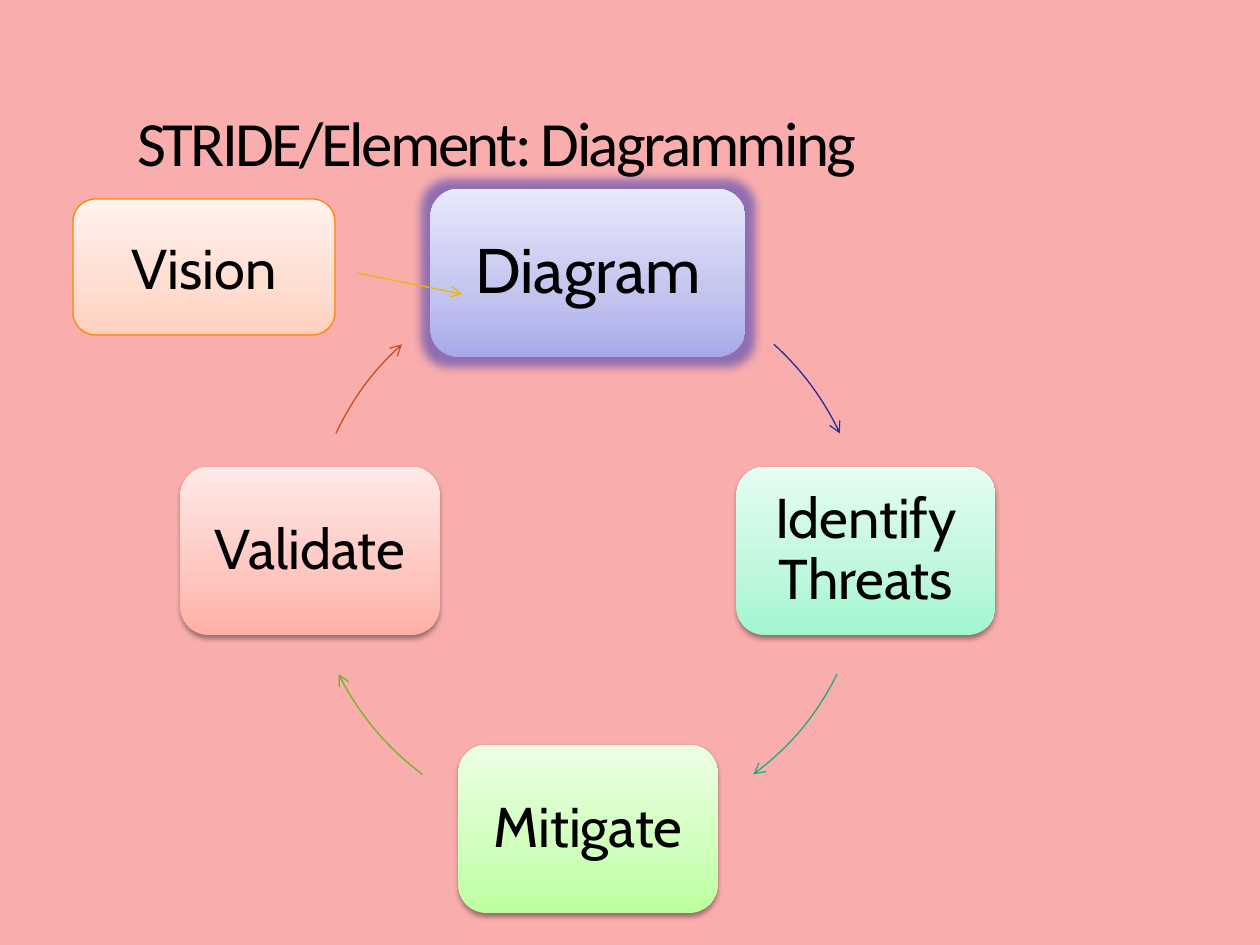
from dataclasses import dataclass
from typing import Optional

import lxml.etree
import pptx
import pptx.dml.color
import pptx.enum.shapes
import pptx.enum.text
import pptx.oxml
import pptx.oxml.ns
import pptx.util
from copy import deepcopy

EMU_PER_PX = 914400 / 126
qn = pptx.oxml.ns.qn
RGB = pptx.dml.color.RGBColor.from_string
SHAPES = pptx.enum.shapes.MSO_SHAPE


@dataclass(frozen=True)
class Theme:
    background: str = "F9ADAD"
    ink: str = "000000"
    glow: str = "4B44B5"
    shadow: str = "000000"
    vision_line: str = "FE8500"
    vision_arrow: str = "F1B700"
    title_font: str = "Calibri"
    body_font: str = "Cabin"
    large: int = 36
    body: int = 32
    line_width: float = 0.75


@dataclass(frozen=True)
class Step:
    """A rounded box placed by its centre; stops run from bottom to top."""
    label: str
    x: int
    y: int
    width: int
    height: int
    stops: tuple[str, str, str]
    size: int
    inset: int
    line_spacing: float = 0.9
    outline: Optional[str] = None
    effect: Optional[str] = None


@dataclass(frozen=True)
class Arc:
    """A clockwise piece of the cycle, in degrees from three o'clock."""
    start: float
    end: float
    color: str


THEME = Theme()
CENTER_X, CENTER_Y, RADIUS = 588, 551, 278
STEP_W, STEP_H = 259, 168

STEPS = (
    Step("Diagram", CENTER_X, CENTER_Y - RADIUS, 315, STEP_H,
         ("A7A9EB", "C2C3EF", "E7E8FA"), THEME.large, 19, effect="glow"),
    Step("Identify Threats", CENTER_X + RADIUS, CENTER_Y, STEP_W, STEP_H,
         ("A1F6CF", "BEF7DC", "E5FDF2"), THEME.body, 16, effect="shadow"),
    Step("Mitigate", CENTER_X, CENTER_Y + RADIUS, STEP_W, STEP_H,
         ("BCFF9E", "CFFFBA", "ECFFE5"), THEME.body, 16, effect="shadow"),
    Step("Validate", CENTER_X - RADIUS, CENTER_Y, STEP_W, STEP_H,
         ("FFAFA5", "FFC6BF", "FFE9E7"), THEME.body, 16, effect="shadow"),
    Step("Vision", 204, 267, 262, 136,
         ("FFCFBD", "FFDDD1", "FFF2EE"), THEME.body, 13, 1.0,
         outline=THEME.vision_line),
)
ARCS = (
    Arc(312, 335, "232E99"),
    Arc(26.3, 53.5, "21A980"),
    Arc(126.5, 153.7, "6DB91F"),
    Arc(205, 228, "CA4E1C"),
)


def px(length: float) -> int:
    return round(length * EMU_PER_PX)


def write(frame, text: str, font: str, size: int, inset: int, spacing: float):
    frame.word_wrap = True
    frame.margin_left = frame.margin_right = px(inset)
    frame.margin_top = frame.margin_bottom = px(inset)
    frame.text = text
    paragraph = frame.paragraphs[0]
    paragraph.line_spacing = spacing
    run = paragraph.runs[0]
    run.font.name = font
    run.font.size = pptx.util.Pt(size)
    run.font.color.rgb = RGB(THEME.ink)
    return paragraph


def fill_gradient(shape, colors: tuple[str, str, str]) -> None:
    shape.fill.gradient()
    stop_list = shape._element.spPr.find(".//" + qn("a:gsLst"))
    stop_list.append(deepcopy(stop_list[-1]))
    for stop, color, position in zip(shape.fill.gradient_stops, colors, (0, 0.35, 1)):
        stop.color.rgb = RGB(color)
        stop.position = position
    shape.fill.gradient_angle = 90


def add_effect(shape, kind: str) -> None:
    """Put a violet glow or a soft drop shadow on the shape."""
    tag, color, alpha, settings = {
        "glow": ("a:glow", THEME.glow, 60, {"rad": pptx.util.Pt(11)}),
        "shadow": ("a:outerShdw", THEME.shadow, 38, {
            "blurRad": pptx.util.Pt(3.1), "dist": pptx.util.Pt(1.6),
            "dir": 90 * 60000, "rotWithShape": 0}),
    }[kind]
    effects = shape._element.spPr.find(qn("a:effectLst"))
    effect = lxml.etree.SubElement(
        effects, qn(tag), {key: str(int(value)) for key, value in settings.items()})
    tint = lxml.etree.SubElement(effect, qn("a:srgbClr"), val=color)
    lxml.etree.SubElement(tint, qn("a:alpha"), val=str(alpha * 1000))


def style_arrow(stroke, color: str) -> None:
    stroke.line.color.rgb = RGB(color)
    stroke.line.width = pptx.util.Pt(THEME.line_width)
    outline = stroke._element.spPr.find(qn("a:ln"))
    lxml.etree.SubElement(outline, qn("a:tailEnd"), type="arrow")


def draw_step(slide, step: Step) -> None:
    box = slide.shapes.add_shape(
        SHAPES.ROUNDED_RECTANGLE, px(step.x - step.width / 2),
        px(step.y - step.height / 2), px(step.width), px(step.height))
    box.shadow.inherit = False
    fill_gradient(box, step.stops)
    if step.outline:
        box.line.color.rgb = RGB(step.outline)
        box.line.width = pptx.util.Pt(THEME.line_width)
    else:
        box.line.fill.background()
    if step.effect:
        add_effect(box, step.effect)
    label = write(box.text_frame, step.label, THEME.body_font, step.size,
                  step.inset, step.line_spacing)
    label.alignment = pptx.enum.text.PP_ALIGN.CENTER
    box.text_frame.vertical_anchor = pptx.enum.text.MSO_ANCHOR.MIDDLE


def draw_arc(slide, arc: Arc) -> None:
    curve = slide.shapes.add_shape(
        SHAPES.ARC, px(CENTER_X - RADIUS), px(CENTER_Y - RADIUS),
        px(2 * RADIUS), px(2 * RADIUS))
    curve.shadow.inherit = False
    curve.fill.background()
    # Adjustments count in 100000ths, angles in 60000ths of a degree.
    curve.adjustments[0] = arc.start * 0.6
    curve.adjustments[1] = arc.end * 0.6
    style_arrow(curve, arc.color)


def draw_title(slide) -> None:
    title = slide.shapes.add_textbox(px(137), px(112), px(1024), px(69))
    heading = write(title.text_frame, "STRIDE/Element: Diagramming",
                    THEME.title_font, THEME.large, 0, 0.9)
    heading.runs[0].font._element.set("spc", "-150")


def draw_vision_arrow(slide) -> None:
    arrow = slide.shapes.add_connector(
        pptx.enum.shapes.MSO_CONNECTOR.STRAIGHT, px(357), px(273), px(462), px(294))
    style_arrow(arrow, THEME.vision_arrow)
    lxml.etree.SubElement(arrow._element.spPr, qn("a:effectLst"))


def main() -> None:
    deck = pptx.Presentation()
    deck.slide_width, deck.slide_height = px(1260), px(945)
    slide = deck.slides.add_slide(deck.slide_layouts[6])
    slide.background.fill.solid()
    slide.background.fill.fore_color.rgb = RGB(THEME.background)
    draw_title(slide)
    for step in STEPS:
        draw_step(slide, step)
    for arc in ARCS:
        draw_arc(slide, arc)
    draw_vision_arrow(slide)
    deck.save("out.pptx")


if __name__ == "__main__":
    main()
